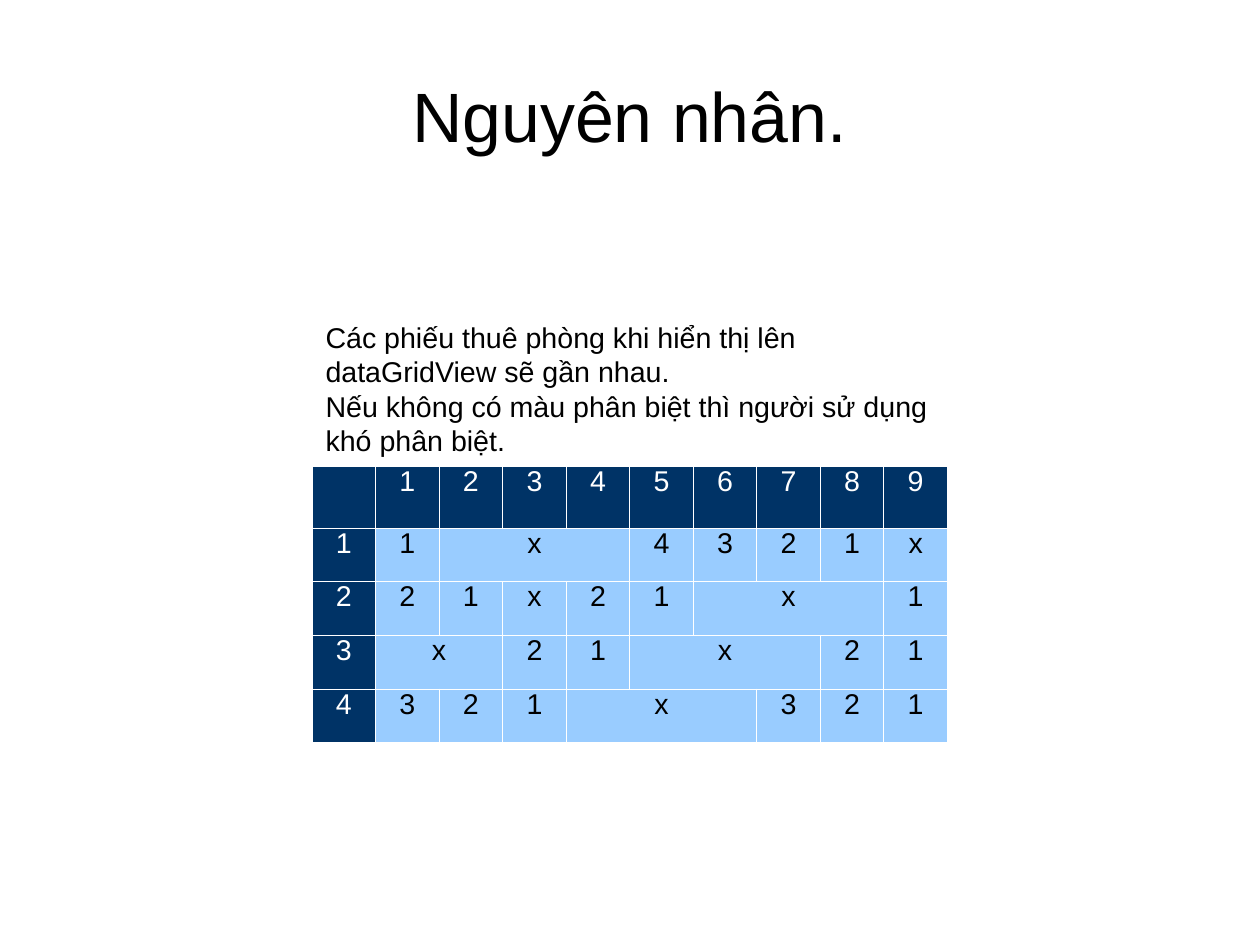
from lxml import etree
from pptx import Presentation
from pptx.dml.color import RGBColor
from pptx.enum.text import MSO_ANCHOR, PP_ALIGN
from pptx.oxml.ns import qn
from pptx.util import Cm, Inches, Pt

CENTER, LEFT = PP_ALIGN.CENTER, PP_ALIGN.LEFT
MIDDLE, TOP = MSO_ANCHOR.MIDDLE, MSO_ANCHOR.TOP

SLIDE_WIDTH, SLIDE_HEIGHT = Cm(28), Cm(21)
TITLE_BOX = (0.55, 0.33, 9.92, 1.38)
REASONS_BOX = (2.75, 2.75, 5.84, 1.06)
GRID_BOX = (2.73, 4.08, 5.56, 2.42)
HEADER_HEIGHT = 0.54

BLACK, WHITE, NAVY, SKY = "000000", "FFFFFF", "003366", "99CCFF"
MERGED = "-"

REASONS = [
    "Các phiếu thuê phòng khi hiển thị lên dataGridView sẽ gần nhau.",
    "Nếu không có màu phân biệt thì người sử dụng khó phân biệt.",
]
ROOM_GRID = [
    ["", *"123456789"],
    [*"11x--4321x"],
    [*"221x21x--1"],
    [*"3x-21x--21"],
    [*"4321x--321"],
]


def color(value):
    """Turn a hex string into a colour."""
    return RGBColor.from_string(value)


def write_text(frame, lines, size=18, ink=BLACK, align=LEFT, spacing=1.0):
    """Fill a text frame with one formatted paragraph per line."""
    for index, line in enumerate(lines):
        paragraph = frame.add_paragraph() if index else frame.paragraphs[0]
        paragraph.alignment = align
        paragraph.line_spacing = spacing
        run = paragraph.add_run()
        run.text = line
        run.font.name = "Arial"
        run.font.size = Pt(size)
        run.font.color.rgb = color(ink)


def add_text(slide, box, lines, insets=(0.1, 0.05, 0.1, 0.05), anchor=TOP, **text_format):
    """Place a wrapping text box with the given insets."""
    frame = slide.shapes.add_textbox(*map(Inches, box)).text_frame
    frame.word_wrap = True
    frame.vertical_anchor = anchor
    (frame.margin_left, frame.margin_top,
     frame.margin_right, frame.margin_bottom) = map(Inches, insets)
    write_text(frame, lines, **text_format)


def add_title(slide, box):
    """Place the centred slide title."""
    add_text(slide, box, ["Nguyên nhân."], insets=(0, 0.04, 0, 0),
             anchor=MIDDLE, size=44, align=CENTER, spacing=0.93)


def set_borders(cell, ink, width):
    """Draw a solid line on all four sides of a cell."""
    properties = cell._tc.get_or_add_tcPr()
    for index, side in enumerate(("a:lnL", "a:lnR", "a:lnT", "a:lnB")):
        line = etree.Element(qn(side), w=str(Pt(width)))
        fill = etree.SubElement(line, qn("a:solidFill"))
        etree.SubElement(fill, qn("a:srgbClr"), val=ink)
        properties.insert(index, line)


def add_room_grid(slide, box, rows):
    """Place the room grid, joining marked cells to the cell on their left."""
    width, height = box[2:]
    column_count = len(rows[0])
    body_height = (height - HEADER_HEIGHT) / (len(rows) - 1)
    table = slide.shapes.add_table(
        len(rows), column_count, *map(Inches, box)).table
    for column in table.columns:
        column.width = Inches(width / column_count)
    for index, row in enumerate(table.rows):
        row.height = Inches(body_height if index else HEADER_HEIGHT)

    for row_index, values in enumerate(rows):
        for column_index, value in enumerate(values):
            cell = table.cell(row_index, column_index)
            is_header = row_index == 0 or column_index == 0
            cell.fill.solid()
            cell.fill.fore_color.rgb = color(NAVY if is_header else SKY)
            set_borders(cell, WHITE, 0.57)
            if value == MERGED:
                continue
            if value:
                write_text(cell.text_frame, [value], align=CENTER, spacing=0.76,
                           ink=WHITE if is_header else BLACK)
            end = column_index
            while end + 1 < column_count and values[end + 1] == MERGED:
                end += 1
            if end > column_index:
                cell.merge(table.cell(row_index, end))


def main():
    """Build and save the slide."""
    presentation = Presentation()
    presentation.slide_width = SLIDE_WIDTH
    presentation.slide_height = SLIDE_HEIGHT
    slide = presentation.slides.add_slide(presentation.slide_layouts[6])
    add_title(slide, TITLE_BOX)
    add_room_grid(slide, GRID_BOX, ROOM_GRID)
    add_text(slide, REASONS_BOX, REASONS)
    presentation.save("out.pptx")


if __name__ == "__main__":
    main()
